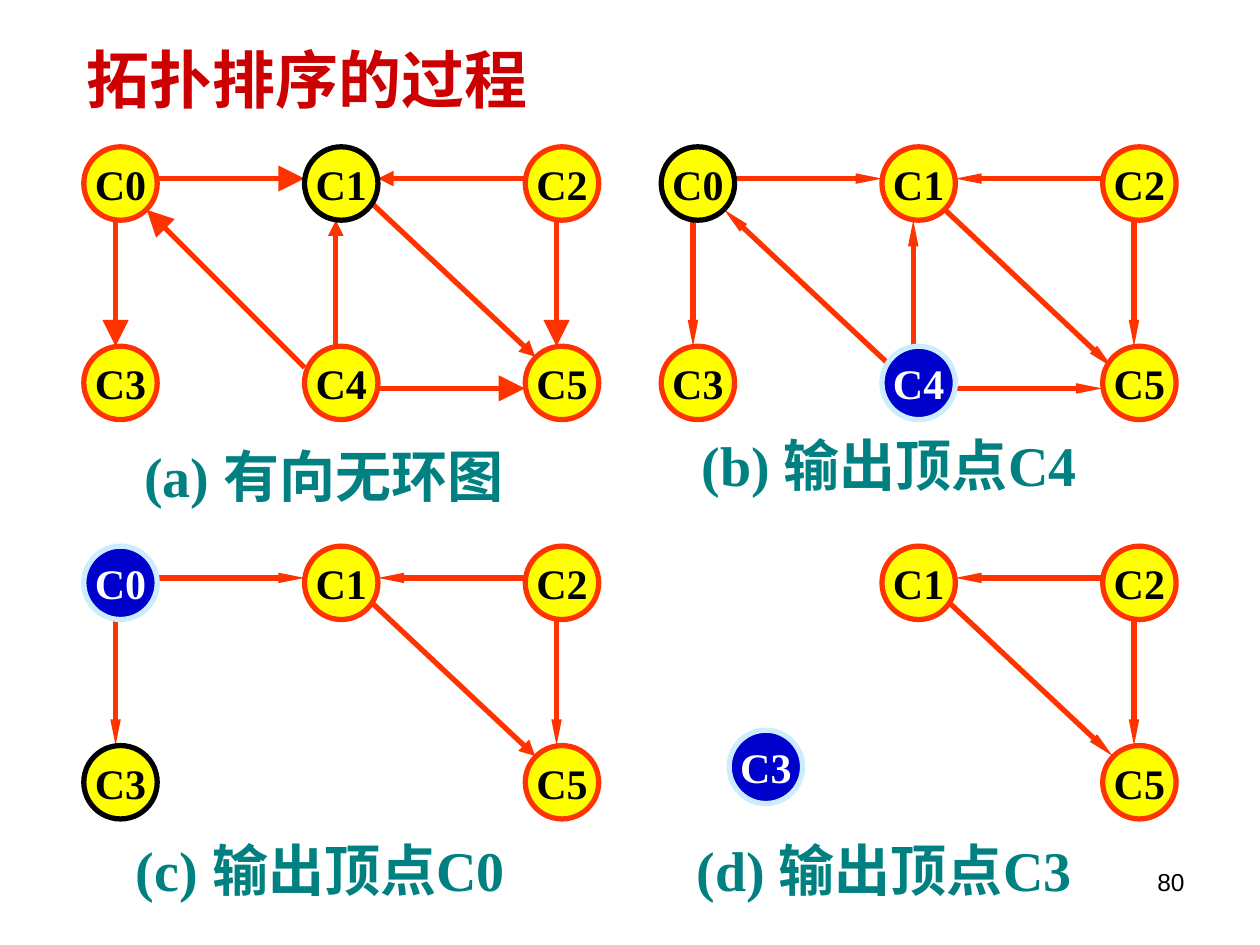
from lxml import etree
from pptx import Presentation
from pptx.dml.color import RGBColor
from pptx.enum.shapes import MSO_CONNECTOR as Connector, MSO_SHAPE as Preset
from pptx.enum.text import MSO_ANCHOR as Anchor, MSO_AUTO_SIZE as AutoSize, PP_ALIGN as Align
from pptx.oxml.ns import qn
from pptx.util import Cm, Pt

NODE_SIZE, COLUMN_STEP, ROW_STEP = 1.48, 4.45, 4.02
EDGES = {
    "C0C1": (1.48, 0.64, 4.45, 0.64),
    "C2C1": (8.89, 0.64, 5.93, 0.64),
    "C0C3": (0.64, 1.48, 0.64, 4.02),
    "C4C1": (5.08, 4.02, 5.08, 1.48),
    "C4C0": (4.45, 4.45, 1.27, 1.27),
    "C4C5": (5.93, 4.87, 8.89, 4.87),
    "C2C5": (9.53, 1.48, 9.53, 4.02),
    "C1C5": (5.72, 1.06, 9.10, 4.23),
}
STYLES = {
    "normal": {"fill": "FFFF00", "line": "FF3300", "text": "000000"},
    "next": {"fill": "FFFF00", "line": "000000", "text": "000000"},
    "output": {"fill": "0000CC", "line": "CCECFF", "text": "FFFFFF"},
}
WIDE, MEDIUM, SLIM = ("lg", "lg"), ("med", "med"), ("sm", "lg")
PANELS = [
    {
        "origin": (1.69, 2.96),
        "nodes": "C0 C1 C2 C3 C4 C5",
        "styles": {"C1": "next"},
        "edges": "C0C1 C2C1 C0C3 C4C1 C4C0 C4C5 C2C5 C1C5",
        "head": WIDE,
        "heads": {"C2C1": MEDIUM, "C4C1": MEDIUM, "C1C5": MEDIUM},
        "caption": ("(a) 有向无环图", 0.97, 5.82, 8.1),
    },
    {
        "origin": (13.33, 2.96),
        "nodes": "C0 C1 C2 C3 C4 C5",
        "styles": {"C0": "next", "C4": "output"},
        "edges": "C0C1 C2C1 C0C3 C4C1 C4C0 C4C5 C2C5 C1C5",
        "routes": {"C4C0": (4.66, 4.45, 1.27, 1.27), "C1C5": (5.72, 1.27, 9.10, 4.45)},
        "caption": ("(b) 输出顶点C4", 0.56, 5.59, 8.65),
    },
    {
        "origin": (1.69, 11.01),
        "nodes": "C0 C1 C2 C3 C5",
        "styles": {"C3": "next", "C0": "output"},
        "edges": "C0C1 C2C1 C0C3 C2C5 C1C5",
        "heads": {"C1C5": MEDIUM},
        "caption": ("(c) 输出顶点C0", 0.8, 5.71, 8.65),
    },
    {
        "origin": (13.33, 11.01),
        "nodes": "C1 C2 C3 C5",
        "styles": {"C3": "output"},
        "places": {"C3": (1.37, 3.71)},
        "edges": "C2C1 C2C5 C1C5",
        "caption": ("(d) 输出顶点C3", 0.46, 5.71, 8.65),
    },
]


def color(value):
    """Return the colour for a hex string."""
    return RGBColor.from_string(value)


def write_text(shape, text, size, ink, font="Times New Roman", bold=True,
               align=Align.LEFT, **frame_format):
    """Write one formatted paragraph into a shape."""
    frame = shape.text_frame
    for name, value in frame_format.items():
        setattr(frame, name, value)
    paragraph = frame.paragraphs[0]
    paragraph.text = text
    paragraph.alignment = align
    for name, value in {"name": font, "size": Pt(size), "bold": bold}.items():
        setattr(paragraph.font, name, value)
    paragraph.font.color.rgb = color(ink)


def add_text(slide, box, text, size, ink, **text_format):
    """Add a text box at a box given in centimetres."""
    shape = slide.shapes.add_textbox(*map(Cm, box))
    write_text(shape, text, size, ink, **text_format)


def add_edge(slide, left, top, route, head):
    """Add an arrow along a route relative to its panel."""
    x1, y1, x2, y2 = route
    ends = (left + x1, top + y1, left + x2, top + y2)
    connector = slide.shapes.add_connector(Connector.STRAIGHT, *map(Cm, ends))
    connector.line.color.rgb = color("FF3300")
    connector.line.width = Pt(3)
    width, length = head
    etree.SubElement(connector.line._get_or_add_ln(), qn("a:tailEnd"),
                     type="triangle", w=width, len=length)
    etree.SubElement(connector._element.spPr, qn("a:effectLst"))


def add_node(slide, left, top, label, style):
    """Add a round labelled vertex."""
    shape = slide.shapes.add_shape(
        Preset.OVAL, *map(Cm, (left, top, NODE_SIZE, NODE_SIZE)))
    shape.shadow.inherit = False
    shape.fill.solid()
    shape.fill.fore_color.rgb = color(style["fill"])
    shape.line.color.rgb = color(style["line"])
    shape.line.width = Pt(3)
    write_text(shape, label, 24, style["text"], align=Align.CENTER,
               vertical_anchor=Anchor.MIDDLE, word_wrap=False)


def add_panel(slide, panel):
    """Add one stage of the sort: edges, vertices and caption."""
    left, top = panel["origin"]
    routes = {**EDGES, **panel.get("routes", {})}
    for edge in panel["edges"].split():
        head = panel.get("heads", {}).get(edge, panel.get("head", SLIM))
        add_edge(slide, left, top, routes[edge], head)
    for label in panel["nodes"].split():
        row, column = divmod(int(label[1]), 3)
        grid_place = (column * COLUMN_STEP, row * ROW_STEP)
        x, y = panel.get("places", {}).get(label, grid_place)
        style = STYLES[panel["styles"].get(label, "normal")]
        add_node(slide, left + x, top + y, label, style)
    text, x, y, width = panel["caption"]
    add_text(slide, (left + x, top + y, width, 1.63), text, 32, "008080",
             word_wrap=False, auto_size=AutoSize.SHAPE_TO_FIT_TEXT)


def main():
    """Build and save the slide."""
    presentation = Presentation()
    presentation.slide_width, presentation.slide_height = Cm(25.4), Cm(19.05)
    slide = presentation.slides.add_slide(presentation.slide_layouts[6])
    add_text(slide, (18.21, 17.35, 5.92, 1.32), "80", 14, "000000",
             font="Arial", bold=False, align=Align.RIGHT, word_wrap=True)
    add_text(slide, (1.5, 0.62, 10.58, 1.9), "拓扑排序的过程", 36, "CC0000",
             font="Arial", vertical_anchor=Anchor.MIDDLE, word_wrap=True)
    for panel in PANELS:
        add_panel(slide, panel)
    presentation.save("out.pptx")


if __name__ == "__main__":
    main()
